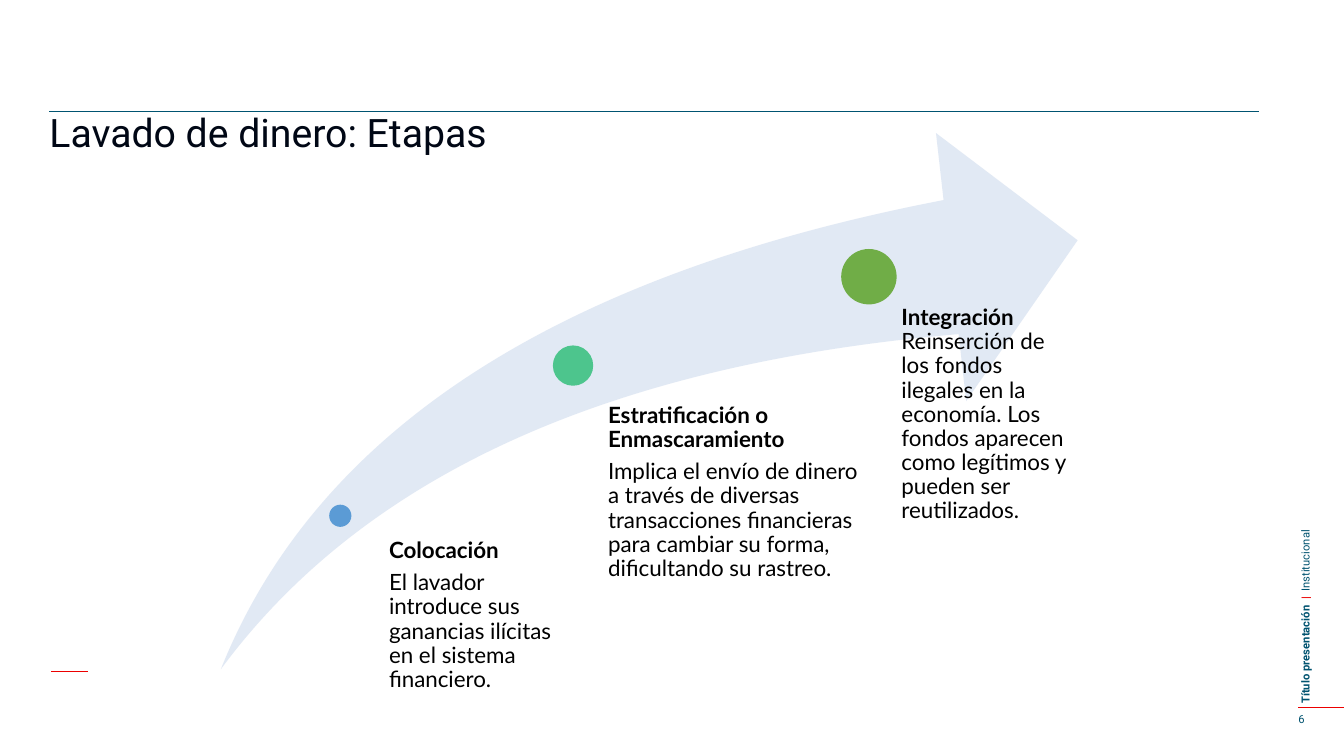
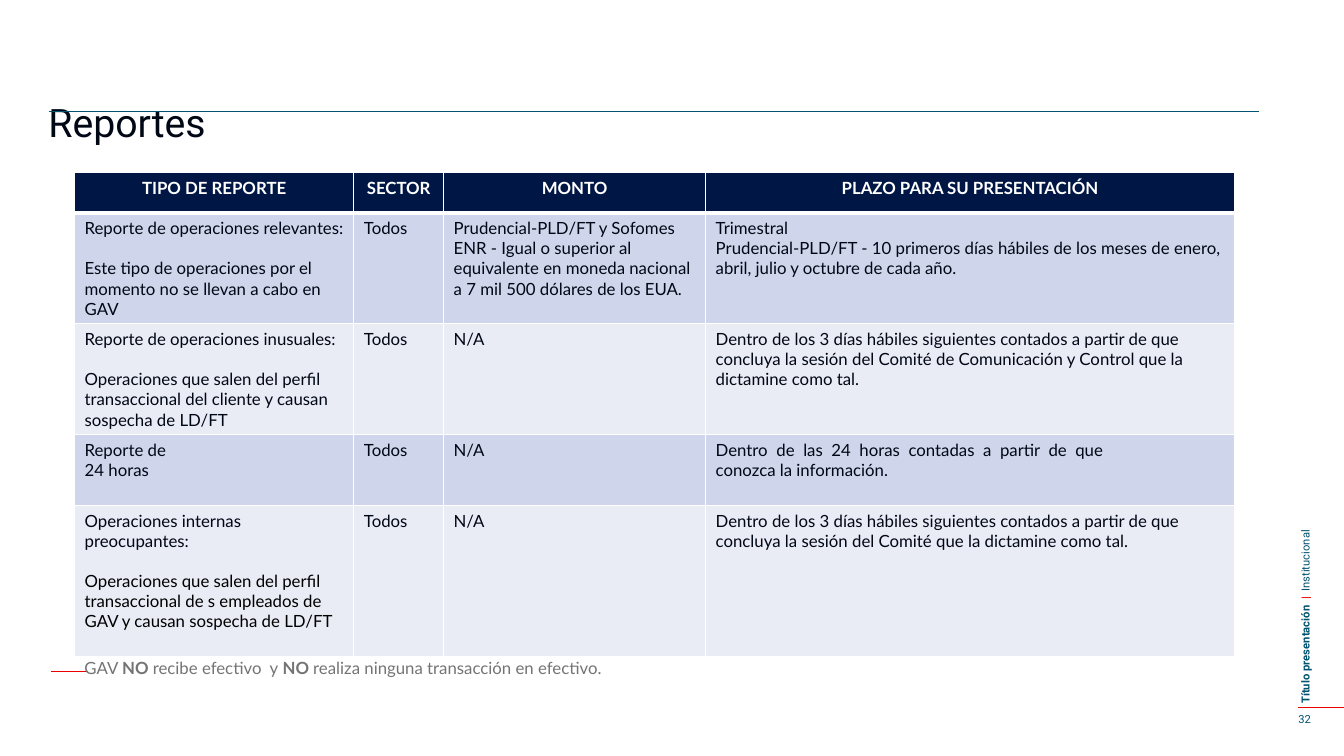
from dataclasses import dataclass
from typing import NamedTuple

from lxml import etree
from pptx import Presentation
from pptx import util as u
from pptx.dml.color import RGBColor
from pptx.enum import shapes, text
from pptx.oxml import ns

WIDTH, HEIGHT = u.Inches(13.33), u.Inches(7.5)
COLORS = {
    "ink": "000715", "black": "000000", "white": "FFFFFF", "gray": "747474",
    "rule": "005471", "teal": "005370", "red": "EC0000", "navy": "001746",
    "band_dark": "CFD5EA", "band_light": "E9EBF5", "swoosh": "D2DEEF",
    "blue": "5B9BD5", "green": "4DC58D", "olive": "70AD47",
}
HEADING_FONT, BODY_FONT = "Roboto", "Lato"
LEFT, CENTER, JUSTIFY = (text.PP_ALIGN.LEFT, text.PP_ALIGN.CENTER,
                         text.PP_ALIGN.JUSTIFY)


class Box(NamedTuple):
    """Left, top, width and height in percent of the slide's size."""
    left: float
    top: float
    width: float
    height: float

    def lengths(self) -> tuple:
        return (across(self.left), down(self.top),
                across(self.width), down(self.height))


class Run(NamedTuple):
    words: str
    bold: bool = False
    color: str = "black"


class Rule(NamedTuple):
    start: float
    end: float
    top: float
    color: str
    points: float = 0.5


@dataclass
class Stage:
    center: tuple[float, float]
    diameter: float
    color: str
    box: Box
    paragraphs: list[list[Run]]


@dataclass
class Report:
    kind: list[str]
    amount: list[str]
    deadline: list[str]
    height: float
    kind_gap: float = 14.4
    detail_color: str = "ink"
    deadline_align: text.PP_ALIGN = LEFT
    deadline_margin: float = 0.1


RULES = [
    Rule(96.6, 100, 93.65, "red", 0.75),
    Rule(3.65, 93.7, 14.75, "rule"),
    Rule(3.8, 6.53, 88.8, "red"),
]
SIDE_LABEL = [
    Run("Título presentación  ", True, "teal"),
    Run("|  ", True, "red"),
    Run("Institucional", False, "teal"),
]
STAGES = [
    Stage((25.32, 68.22), 0.22, "blue", Box(28.05, 71.36, 14.85, 20.53), [
        [Run("Colocación", True)],
        [Run("El lavador introduce sus ganancias ilícitas en el sistema "
             "financiero.")],
    ]),
    Stage((42.64, 48.36), 0.4, "green", Box(43.67, 53.47, 21, 38.53), [
        [Run("Estratificación o Enmascaramiento", True)],
        [Run("Implica el envío de dinero a través de diversas transacciones "
             "financieras para cambiar su forma, dificultando su rastreo.")],
    ]),
    Stage((64.65, 36.6), 0.55, "olive", Box(64.9, 40.5, 15.3, 49.2), [
        [Run("Integración ", True),
         Run("Reinserción de los fondos ilegales en la economía. Los fondos "
             "aparecen como legítimos y pueden ser reutilizados.")],
    ]),
]
HEADERS = ["TIPO DE REPORTE", "SECTOR", "MONTO", "PLAZO PARA SU PRESENTACIÓN"]
COLUMN_WIDTHS = [20.78, 6.68, 19.5, 39.36]
HEADER_HEIGHT = 5.36
REPORTS = [
    Report(["Reporte de operaciones relevantes:",
            "Este tipo de operaciones por el momento no se llevan a cabo en "
            "GAV"],
           ["Prudencial-PLD/FT y Sofomes ENR - Igual o superior al "
            "equivalente en moneda nacional a 7 mil 500 dólares de los EUA."],
           ["Trimestral",
            "Prudencial-PLD/FT - 10 primeros días hábiles de los meses de "
            "enero, abril, julio y octubre de cada año."],
           14.67),
    Report(["Reporte de operaciones inusuales:",
            "Operaciones que salen del perfil transaccional del cliente y "
            "causan sospecha de LD/FT"],
           ["N/A"],
           ["Dentro de los 3 días hábiles siguientes contados a partir de que "
            "concluya la sesión del Comité de Comunicación y Control que la "
            "dictamine como tal."],
           14.67),
    Report(["Reporte de", "24 horas"],
           ["N/A"],
           ["Dentro de las 24 horas contadas a partir de que conozca la "
            "información."],
           9.36, kind_gap=0, deadline_align=JUSTIFY, deadline_margin=1.3),
    Report(["Operaciones internas preocupantes:",
            "Operaciones que salen del perfil transaccional de s empleados de "
            "GAV y causan sospecha de LD/FT"],
           ["N/A"],
           ["Dentro de los 3 días hábiles siguientes contados a partir de que "
            "concluya la sesión del Comité que la dictamine como tal."],
           20, detail_color="black"),
]
CASH_NOTE = [
    Run("GAV ", False, "gray"), Run("NO ", True, "gray"),
    Run("recibe efectivo  y", False, "gray"), Run(" NO ", True, "gray"),
    Run("realiza ninguna transacción en efectivo.", False, "gray"),
]


def across(percent: float) -> int:
    return round(WIDTH * percent / 100)


def down(percent: float) -> int:
    return round(HEIGHT * percent / 100)


def rgb(name: str) -> RGBColor:
    return RGBColor.from_string(COLORS[name])


def write(frame, paragraphs: list[list[Run]], size: float, font: str,
          align=LEFT, line_spacing: float = 1, before: float = 0,
          after: float = 0) -> None:
    """Fill a frame run by run; before applies from the second paragraph."""
    for index, runs in enumerate(paragraphs):
        paragraph = frame.add_paragraph() if index else frame.paragraphs[0]
        paragraph.alignment = align
        paragraph.line_spacing = line_spacing
        paragraph.space_before = u.Pt(before if index else 0)
        paragraph.space_after = u.Pt(after)
        for words, bold, color in runs:
            run = paragraph.add_run()
            run.text = words
            run.font.size, run.font.name = u.Pt(size), font
            run.font.bold = bold
            run.font.color.rgb = rgb(color)


def prepare(frame, left: float = 0, top: float = 0, right: float = 0,
            bottom: float = 0) -> None:
    """Set wrapping, top anchor and insets in inches."""
    frame.word_wrap = True
    frame.auto_size = text.MSO_AUTO_SIZE.NONE
    frame.vertical_anchor = text.MSO_ANCHOR.TOP
    frame.margin_left, frame.margin_top = u.Inches(left), u.Inches(top)
    frame.margin_right, frame.margin_bottom = u.Inches(right), u.Inches(bottom)


def add_text(slide, box: Box, insets: tuple = ()):
    frame = slide.shapes.add_textbox(*box.lengths()).text_frame
    prepare(frame, *insets)
    return frame


def add_rule(slide, rule: Rule) -> None:
    line = slide.shapes.add_connector(
        shapes.MSO_CONNECTOR.STRAIGHT, across(rule.start), down(rule.top),
        across(rule.end), down(rule.top))
    line.line.color.rgb = rgb(rule.color)
    line.line.width = u.Pt(rule.points)
    etree.SubElement(line._element.spPr, ns.qn("a:effectLst"))


def add_filled(slide, kind, lengths: tuple, color: str):
    shape = slide.shapes.add_shape(kind, *lengths)
    shape.shadow.inherit = False
    shape.fill.solid()
    shape.fill.fore_color.rgb = rgb(color)
    shape.line.fill.background()
    return shape


def start_slide(presentation, title: str, title_box: Box, number: int):
    """Add a slide with the title, rules, side label and slide number."""
    slide = presentation.slides.add_slide(presentation.slide_layouts[5])
    label = add_text(slide, Box(96.6, 17.2, 1, 75.9), (0, 0.03))
    label._txBody.bodyPr.set("vert", "vert270")
    write(label, [SIDE_LABEL], 8, HEADING_FONT)
    for rule in RULES:
        add_rule(slide, rule)
    write(add_text(slide, Box(96.6, 94.27, 2.9, 1.73)),
          [[Run(str(number), False, "teal")]], 8, HEADING_FONT)
    heading = slide.shapes.title
    heading.left, heading.top, heading.width, heading.height = (
        title_box.lengths())
    prepare(heading.text_frame)
    write(heading.text_frame, [[Run(title, False, "ink")]], 28, HEADING_FONT,
          line_spacing=0.9)
    return slide


def add_stage(slide, stage: Stage) -> None:
    size = u.Inches(stage.diameter)
    x, y = stage.center
    add_filled(slide, shapes.MSO_SHAPE.OVAL,
               (across(x) - size // 2, down(y) - size // 2, size, size),
               stage.color)
    frame = add_text(slide, stage.box, (round(stage.diameter * 0.53, 2),))
    write(frame, stage.paragraphs, 16, BODY_FONT, line_spacing=0.9, after=5.6)


def set_borders(cell, top: float, bottom: float) -> None:
    """Draw white borders: 1 pt at the sides, the given widths elsewhere."""
    properties = cell._tc.get_or_add_tcPr()
    widths = {"lnL": 1, "lnR": 1, "lnT": top, "lnB": bottom}
    for index, (side, width) in enumerate(widths.items()):
        line = etree.Element(ns.qn(f"a:{side}"), w=str(u.Pt(width)))
        fill = etree.SubElement(line, ns.qn("a:solidFill"))
        etree.SubElement(fill, ns.qn("a:srgbClr"), val=COLORS["white"])
        properties.insert(index, line)


def fill_cell(cell, paragraphs: list[str], row: int, align=LEFT,
              before: float = 0, detail_color: str = "ink") -> None:
    """Fill a cell; detail_color is for paragraphs after the first."""
    header = row == 0
    band = "navy" if header else "band_dark" if row % 2 else "band_light"
    cell.fill.solid()
    cell.fill.fore_color.rgb = rgb(band)
    set_borders(cell, 3 if row == 1 else 1, 3 if header else 1)
    first_color = "white" if header else "ink"
    runs = [[Run(words, header, detail_color if index else first_color)]
            for index, words in enumerate(paragraphs)]
    write(cell.text_frame, runs, 12, BODY_FONT, align, before=before)


def add_report_table(slide) -> None:
    heights = [HEADER_HEIGHT] + [report.height for report in REPORTS]
    box = Box(5.55, 22.8, sum(COLUMN_WIDTHS), sum(heights))
    table = slide.shapes.add_table(
        len(heights), len(HEADERS), *box.lengths()).table
    for column, width in zip(table.columns, COLUMN_WIDTHS):
        column.width = across(width)
    for row, height in zip(table.rows, heights):
        row.height = down(height)
    for column, header in enumerate(HEADERS):
        fill_cell(table.cell(0, column), [header], 0, CENTER)
    for row, report in enumerate(REPORTS, 1):
        kind, sector, amount, deadline = table.rows[row].cells
        fill_cell(kind, report.kind, row, before=report.kind_gap,
                  detail_color=report.detail_color)
        fill_cell(sector, ["Todos"], row)
        fill_cell(amount, report.amount, row)
        fill_cell(deadline, report.deadline, row, report.deadline_align)
        deadline.margin_right = u.Inches(report.deadline_margin)


def build_stages(presentation) -> None:
    slide = start_slide(presentation, "Lavado de dinero: Etapas",
                        Box(3.68, 15.07, 92.2, 9.6), 6)
    swoosh = add_filled(slide, shapes.MSO_SHAPE.SWOOSH_ARROW,
                        Box(16.43, 17.6, 63.75, 70.93).lengths(), "swoosh")
    swoosh.adjustments[0] = swoosh.adjustments[1] = 0.25
    color = swoosh._element.spPr.find(".//" + ns.qn("a:srgbClr"))
    etree.SubElement(color, ns.qn("a:alpha"), val="65000")
    for stage in STAGES:
        add_stage(slide, stage)


def build_reports(presentation) -> None:
    slide = start_slide(presentation, "Reportes",
                        Box(3.6, 13.73, 92.8, 7.47), 32)
    add_report_table(slide)
    note = add_text(slide, Box(5.55, 86.35, 47.8, 4), (0.1, 0.05, 0.1, 0.05))
    write(note, [CASH_NOTE], 12, BODY_FONT)


def main() -> None:
    presentation = Presentation()
    presentation.slide_width, presentation.slide_height = WIDTH, HEIGHT
    build_stages(presentation)
    build_reports(presentation)
    presentation.save("out.pptx")


if __name__ == "__main__":
    main()
